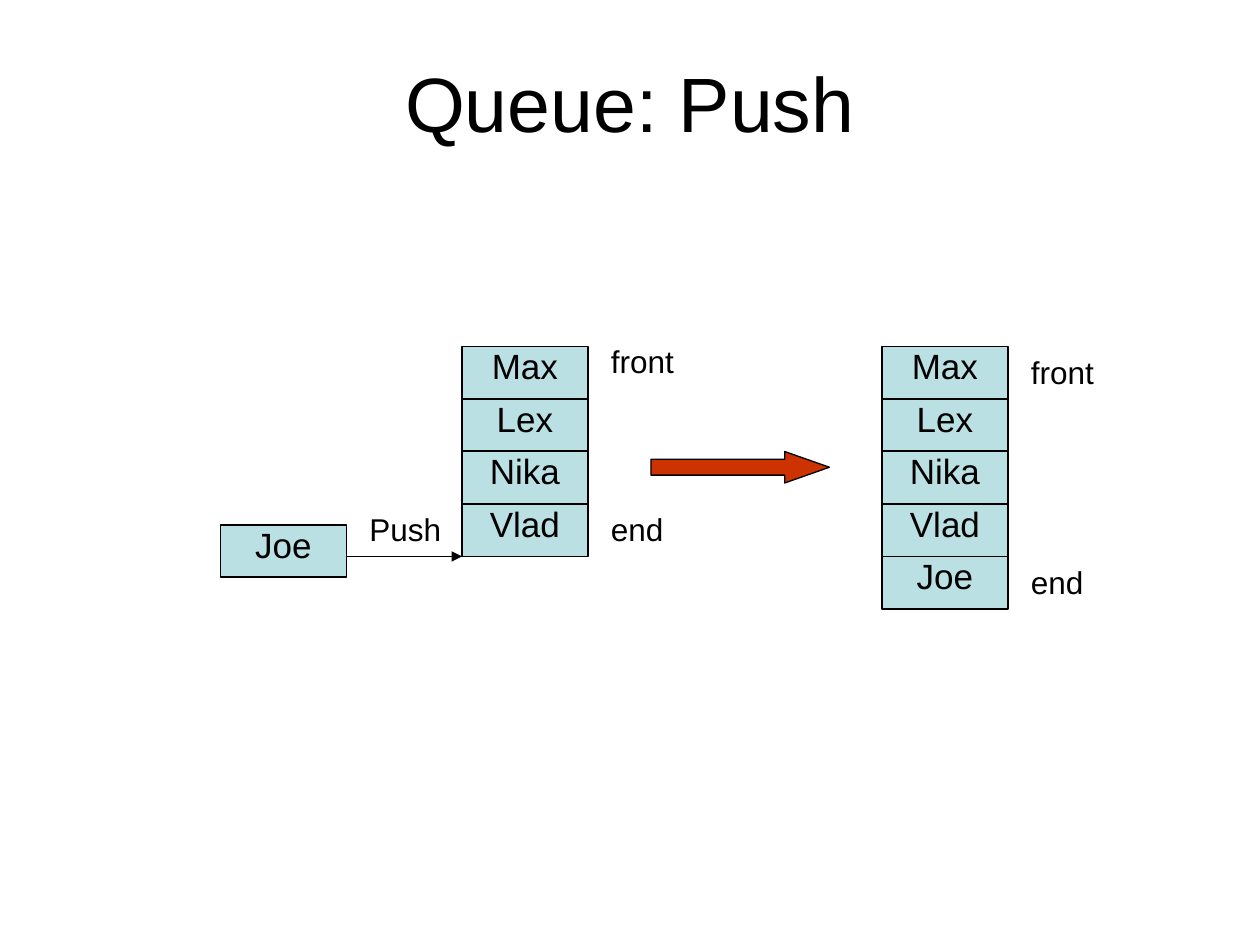
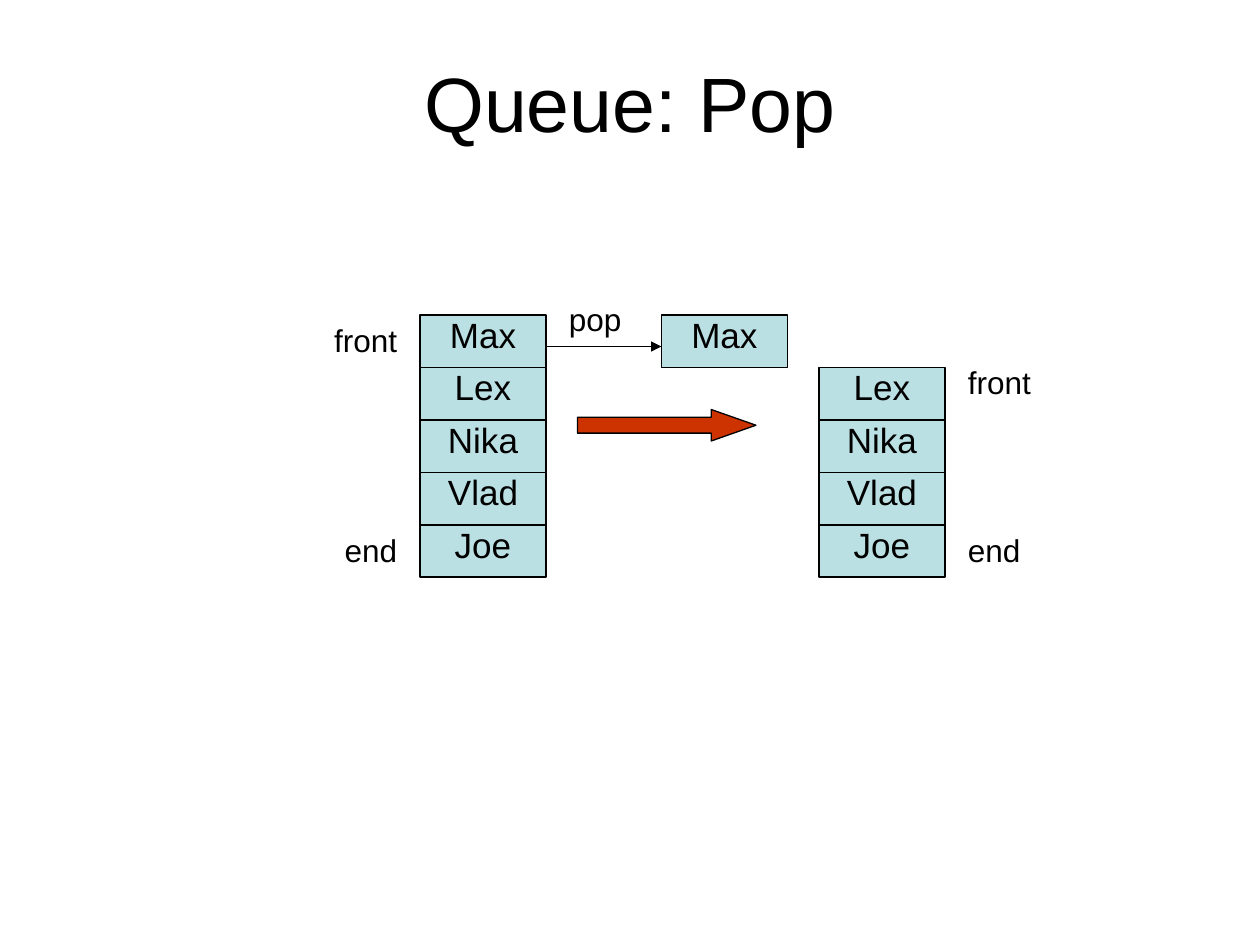
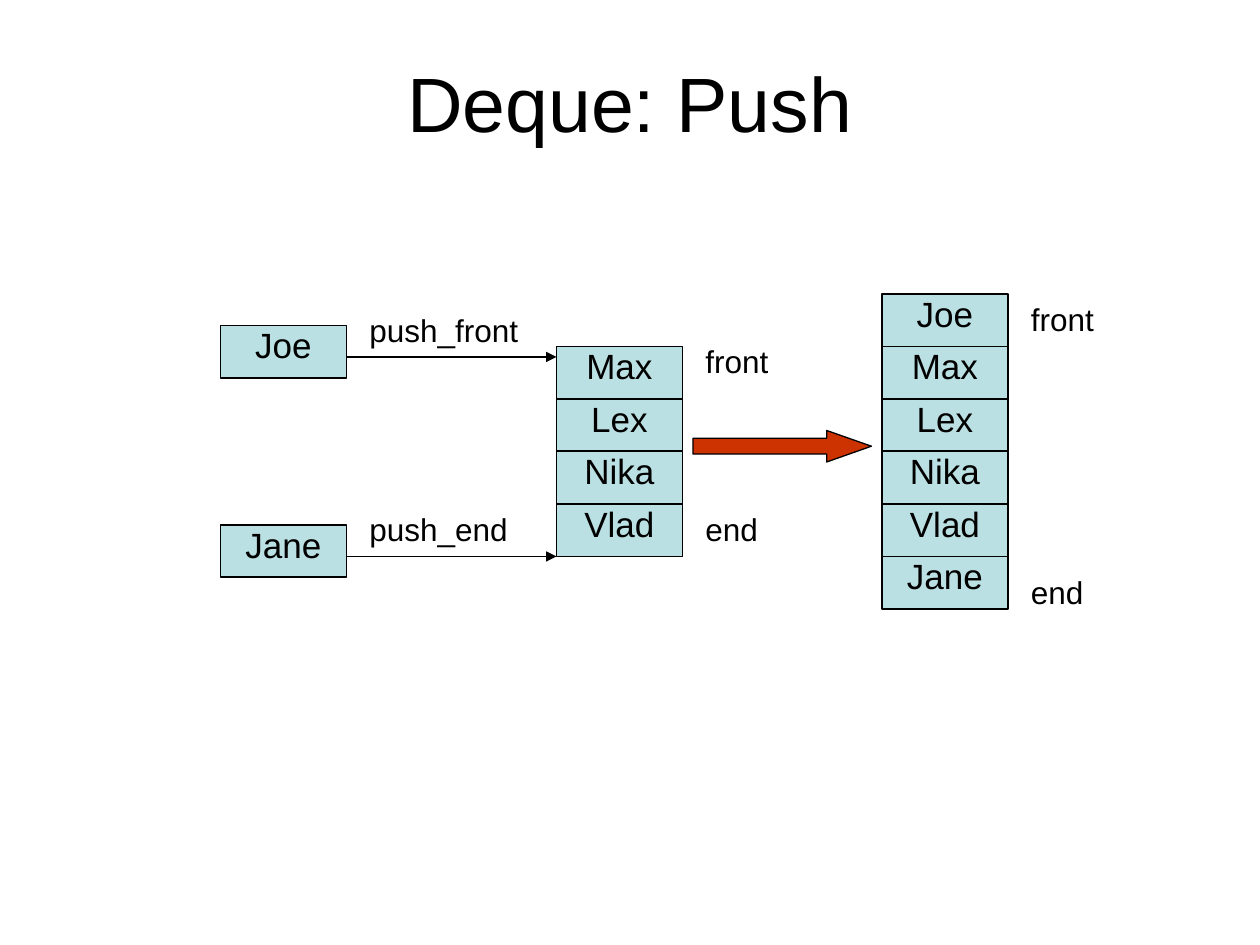
import pptx
import pptx.dml.color
import pptx.enum.shapes
import pptx.enum.text
import pptx.oxml
import pptx.oxml.ns
import pptx.util

BLACK = pptx.dml.color.RGBColor(0x00, 0x00, 0x00)
AQUA = pptx.dml.color.RGBColor(0xBB, 0xE0, 0xE3)
RUST = pptx.dml.color.RGBColor(0xCC, 0x33, 0x00)
FONT = "Arial"
COLS, ROWS = 120, 90
WIDE, TALL = pptx.util.Inches(10), pptx.util.Inches(7.5)
CELL_W, CELL_H = 12, 5
SHAPE = pptx.enum.shapes.MSO_SHAPE
ALIGN = pptx.enum.text.PP_ALIGN
ANCHOR = pptx.enum.text.MSO_ANCHOR


def place(col, row, *size):
    """Turn grid columns and rows into slide lengths."""
    spot = [round(WIDE * col / COLS), round(TALL * row / ROWS)]
    return spot + (place(*size) if size else [])


def write(frame, text, size, align):
    """Fill a text frame with one line and return its paragraph."""
    frame.word_wrap = True
    frame.text = text
    line = frame.paragraphs[0]
    line.alignment = align
    line.font.name = FONT
    line.font.size = pptx.util.Pt(size)
    line.font.color.rgb = BLACK
    return line


def start(deck, text):
    """Add a slide with its title."""
    slide = deck.slides.add_slide(deck.slide_layouts[5])
    title = slide.shapes.title
    title.left, title.top, title.width, title.height = place(9, 0, 102, 19.3)
    title.text_frame.vertical_anchor = ANCHOR.MIDDLE
    write(title.text_frame, text, 44, ALIGN.CENTER)
    return slide


def draw(slide, kind, area, fill, weight):
    """Draw a filled shape with a black outline."""
    shape = slide.shapes.add_shape(kind, *place(*area))
    shape.shadow.inherit = False
    shape.fill.solid()
    shape.fill.fore_color.rgb = fill
    shape.line.color.rgb = BLACK
    shape.line.width = pptx.util.Pt(weight)
    return shape


def stack(slide, col, row, names):
    """Pile named cells downward from a grid point."""
    for step, name in enumerate(names):
        area = col, row + step * CELL_H, CELL_W, CELL_H
        cell = draw(slide, SHAPE.RECTANGLE, area, AQUA, 1)
        cell.text_frame.vertical_anchor = ANCHOR.TOP
        write(cell.text_frame, name, 20, ALIGN.CENTER).line_spacing = 0.8


def label(slide, text, col, row, width=9, align=ALIGN.LEFT):
    """Write a label beside a cell or a link."""
    box = slide.shapes.add_textbox(*place(col, row, width, 4.8))
    line = write(box.text_frame, text, 18, align)
    line.space_before = pptx.util.Pt(11.2)
    box.text_frame.auto_size = pptx.enum.text.MSO_AUTO_SIZE.SHAPE_TO_FIT_TEXT


def link(slide, col, row, width):
    """Draw a thin arrow to the right."""
    wire = slide.shapes.add_connector(
        pptx.enum.shapes.MSO_CONNECTOR.STRAIGHT,
        *place(col, row, col + width, row))
    wire.line.color.rgb = BLACK
    wire.line.width = pptx.util.Pt(0.75)
    props = wire.element.spPr
    stroke = props.find(pptx.oxml.ns.qn("a:ln"))
    space = pptx.oxml.ns.nsdecls("a")
    stroke.append(pptx.oxml.parse_xml(f'<a:tailEnd {space} type="triangle"/>'))
    props.append(pptx.oxml.parse_xml(f"<a:effectLst {space}/>"))


def arrow(slide, col, row):
    """Draw the broad arrow between two states."""
    shape = draw(slide, SHAPE.RIGHT_ARROW, (col, row, 17, 3), RUST, 0.75)
    shape.adjustments[0] = 0.5
    shape.adjustments[1] = 1.42


def push(slide, name, row, text, width):
    """Show a cell being pushed into a stack, with its label."""
    stack(slide, 21, row, [name])
    link(slide, 33, row + 3, width)
    label(slide, text, 34, row - 2, width - 2 if width > 11 else 10)


def main():
    """Build the three queue slides."""
    deck = pptx.Presentation()
    deck.slide_width, deck.slide_height = WIDE, TALL
    base = ["Max", "Lex", "Nika", "Vlad"]

    slide = start(deck, "Queue: Push")
    stack(slide, 44, 33, base)
    push(slide, "Joe", 50, "Push", 11)
    label(slide, "front", 57, 32, 11)
    label(slide, "end", 57, 48)
    arrow(slide, 62, 43)
    stack(slide, 84, 33, base + ["Joe"])
    label(slide, "front", 97, 33)
    label(slide, "end", 97, 53)

    slide = start(deck, "Queue: Pop")
    stack(slide, 40, 30, base + ["Joe"])
    label(slide, "front", 30, 30, align=ALIGN.RIGHT)
    label(slide, "end", 30, 50, align=ALIGN.RIGHT)
    link(slide, 52, 33, 11)
    label(slide, "pop", 53, 28)
    stack(slide, 63, 30, ["Max"])
    arrow(slide, 55, 39)
    stack(slide, 78, 35, base[1:] + ["Joe"])
    label(slide, "front", 91, 34)
    label(slide, "end", 91, 50)

    slide = start(deck, "Deque: Push")
    stack(slide, 53, 33, base)
    push(slide, "Joe", 31, "push_front", 20)
    push(slide, "Jane", 50, "push_end", 20)
    label(slide, "front", 66, 32, 10)
    label(slide, "end", 66, 48, 8)
    arrow(slide, 66, 41)
    stack(slide, 84, 28, ["Joe"] + base + ["Jane"])
    label(slide, "front", 97, 28)
    label(slide, "end", 97, 54, 8)

    deck.save("out.pptx")


if __name__ == "__main__":
    main()
